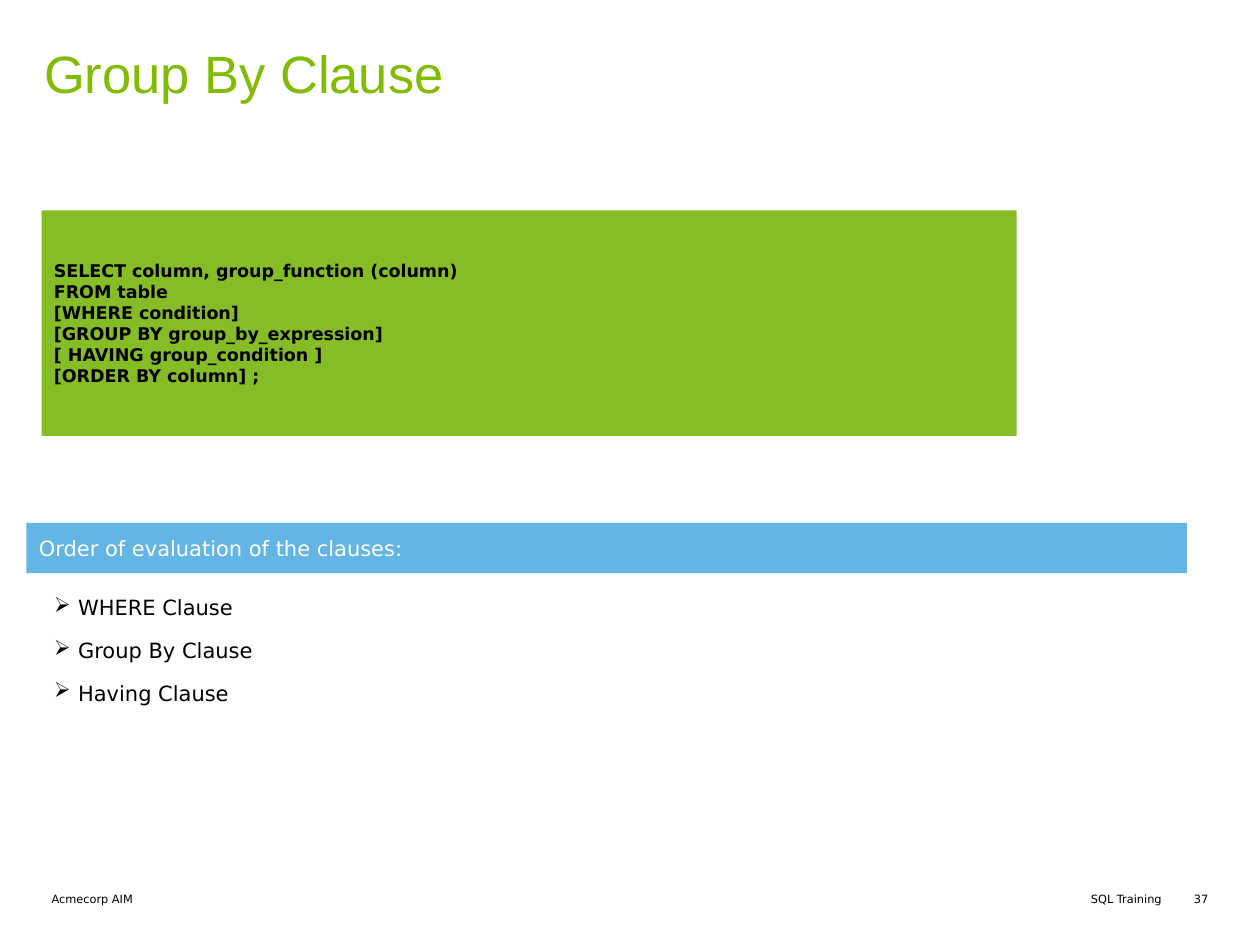
from pptx import Presentation
from pptx.dml.color import RGBColor
from pptx.enum.shapes import MSO_SHAPE
from pptx.enum.text import MSO_ANCHOR, PP_ALIGN
from pptx.oxml.ns import qn
from pptx.util import Inches, Pt
from lxml import etree

RECTANGLE = MSO_SHAPE.RECTANGLE
TOP, MIDDLE = MSO_ANCHOR.TOP, MSO_ANCHOR.MIDDLE
LEFT, RIGHT = PP_ALIGN.LEFT, PP_ALIGN.RIGHT

BLACK = RGBColor(0x00, 0x00, 0x00)
WHITE = RGBColor(0xFF, 0xFF, 0xFF)
TITLE_GREEN = RGBColor(0x81, 0xBC, 0x00)
CODE_GREEN = RGBColor(0x86, 0xBC, 0x25)
BAND_BLUE = RGBColor(0x62, 0xB5, 0xE5)
BODY_FONT = "DejaVu Sans"

deck = Presentation()
deck.slide_width, deck.slide_height = Inches(10), Inches(7.5)
page = deck.slides.add_slide(deck.slide_layouts[5])

# Grid of 100 columns by 75 rows
COLUMN = deck.slide_width / 100
ROW = deck.slide_height / 75


def grid(left, top, width, height):
    return int(left * COLUMN), int(top * ROW), int(width * COLUMN), int(height * ROW)


def write(box, text, size, color, font=BODY_FONT, bold=False, align=LEFT,
          anchor=TOP, margin=0, after=0):
    frame = box.text_frame
    frame.text = text
    frame.word_wrap = True
    frame.vertical_anchor = anchor
    frame.margin_left = frame.margin_right = Inches(margin)
    frame.margin_top = frame.margin_bottom = Inches(min(margin, 0.1))
    for para in frame.paragraphs:
        para.alignment = align
        para.space_before, para.space_after = Pt(0), Pt(after)
        for span in para.runs:
            span.font.name, span.font.size = font, Pt(size)
            span.font.bold = bold
            span.font.color.rgb = color
    return frame


# Title
title = page.shapes.title
title.left, title.top, title.width, title.height = grid(2.5, 2.4, 74.2, 6)
title_frame = write(title, "Group By Clause", 30, TITLE_GREEN, font="Arial",
                    margin=0.1, after=8)
title_frame.margin_top = title_frame.margin_bottom = Inches(0.05)
title_frame.paragraphs[0].line_spacing = 1.07

# Syntax panel and heading band
syntax = "\n".join([
    "SELECT column, group_function (column)",
    "FROM table",
    "[WHERE condition]",
    "[GROUP BY group_by_expression]",
    "[ HAVING group_condition ]",
    "[ORDER BY column] ;",
])
panels = [
    (grid(3.3, 16.7, 77.4, 17.9), CODE_GREEN, syntax, 10, BLACK, True),
    (grid(2.1, 41.5, 92.1, 4), BAND_BLUE, "Order of evaluation of the clauses:", 12, WHITE, False),
]
for place, fill, text, size, color, bold in panels:
    panel = page.shapes.add_shape(RECTANGLE, *place)
    panel.shadow.inherit = False
    panel.fill.solid()
    panel.fill.fore_color.rgb = fill
    panel.line.fill.background()
    write(panel, text, size, color, bold=bold, anchor=MIDDLE, margin=0.1)

# Bulleted clause order
clauses = page.shapes.add_textbox(*grid(4.3, 47.2, 43.8, 13.8))
clause_frame = write(clauses, "WHERE Clause\nGroup By Clause\nHaving Clause", 12, BLACK, after=10)
indent = Inches(0.19)
for para in clause_frame.paragraphs:
    properties = para._p.get_or_add_pPr()
    properties.set("marL", str(indent))
    properties.set("indent", str(-indent))
    etree.SubElement(properties, qn("a:buChar")).set("char", "➢")

# Footer
footers = [
    ("Acmecorp AIM", LEFT, grid(4.1, 70.8, 43.9, 2.2)),
    ("SQL Training", RIGHT, grid(52, 70.8, 40.2, 2.2)),
    ("37", RIGHT, grid(93.4, 70.8, 2.5, 1.1)),
]
for text, align, place in footers:
    write(page.shapes.add_textbox(*place), text, 6.5, BLACK, align=align)

deck.save("out.pptx")
